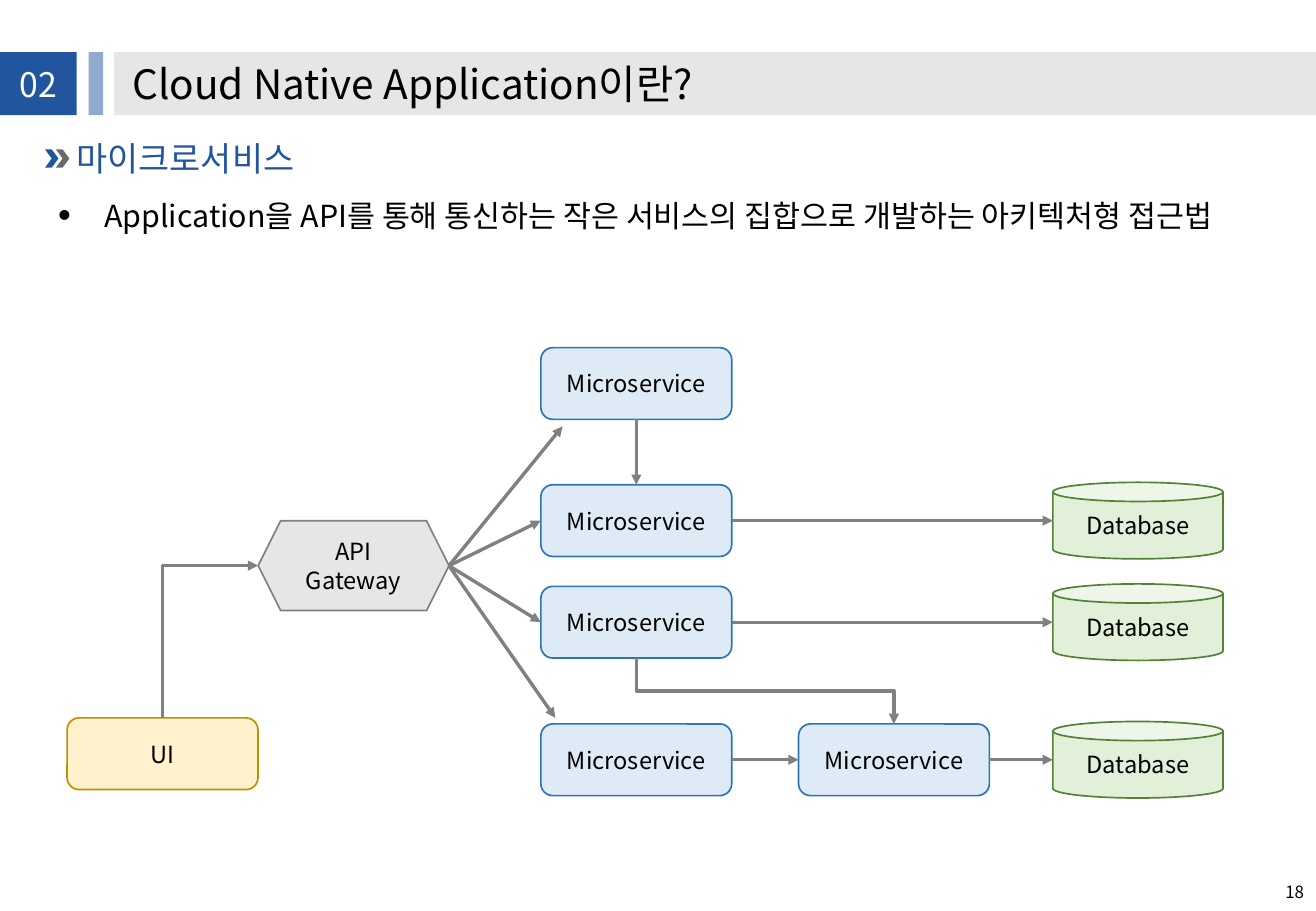
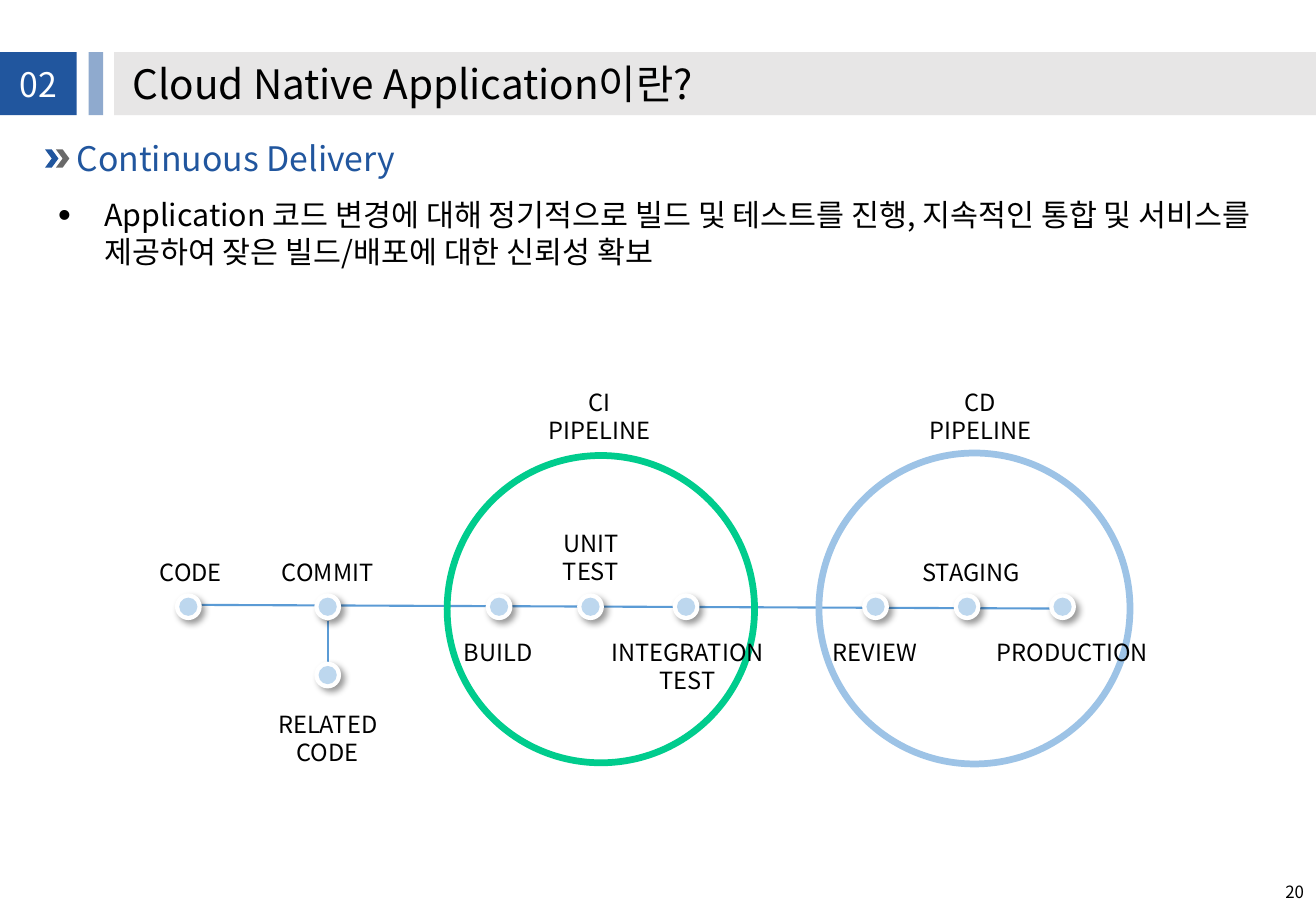
import pptx
import pptx.dml.color
import pptx.enum.shapes
import pptx.enum.text
import pptx.oxml
import pptx.oxml.ns
import pptx.util

FONT = "Noto Sans CJK KR"
NAVY, GRAY, LINE, BLACK, WHITE = "21569E", "E7E6E6", "808080", "000000", "FFFFFF"
SKY, DOT = "5B9BD5", "BDD7EE"
WIDTH, HEIGHT = 10.83, 7.5
SHAPE = pptx.enum.shapes.MSO_SHAPE
ALIGN = pptx.enum.text.PP_ALIGN
ANCHOR = pptx.enum.text.MSO_ANCHOR


def col(n):
    """Return n hundredths of the slide width."""
    return pptx.util.Inches(WIDTH * n / 100)


def row(n):
    """Return n hundredths of the slide height."""
    return pptx.util.Inches(HEIGHT * n / 100)


def rgb(value):
    """Turn a hex string into a colour."""
    return pptx.dml.color.RGBColor.from_string(value)


def add_xml(parent, markup):
    """Append a DrawingML fragment to an element and return it."""
    tag, rest = markup.split(" ", 1) if " " in markup else (markup[:-2], "/>")
    el = pptx.oxml.parse_xml(f"<{tag} {pptx.oxml.ns.nsdecls('a')} {rest}")
    parent.append(el)
    return el


def write(sp, lines, size, color=BLACK, align=ALIGN.CENTER, anchor=ANCHOR.MIDDLE,
          inset=True, spacing=None, bullet=False):
    """Write one paragraph per line into a shape."""
    tf = sp.text_frame
    tf.word_wrap = True
    tf.vertical_anchor = anchor
    if not inset:
        tf.margin_left = tf.margin_right = tf.margin_top = tf.margin_bottom = 0
    for i, line in enumerate(lines):
        p = tf.paragraphs[0] if i == 0 else tf.add_paragraph()
        p.alignment = align
        if spacing:
            p.line_spacing = spacing
        if bullet:
            p.space_after = pptx.util.Pt(12)
            indent = pptx.util.Inches(0.38)
            pPr = p._p.get_or_add_pPr()
            pPr.set("marL", str(indent))
            pPr.set("indent", str(-indent))
            add_xml(pPr, 'a:buSzPct val="120000"/>')
            add_xml(pPr, 'a:buFont typeface="Arial"/>')
            add_xml(pPr, 'a:buChar char="•"/>')
        r = p.add_run()
        r.text = line
        r.font.size = pptx.util.Pt(size)
        r.font.name = FONT
        r.font.color.rgb = rgb(color)
        add_xml(r._r.get_or_add_rPr(), f'a:ea typeface="{FONT}"/>')


def draw(s, kind, x, y, w, h, fill=None, line=None, weight=1):
    """Add a preset shape, placed by its top left corner."""
    sp = s.shapes.add_shape(kind, col(x), row(y), col(w), row(h))
    sp.shadow.inherit = False
    if fill:
        sp.fill.solid()
        sp.fill.fore_color.rgb = rgb(fill)
    else:
        sp.fill.background()
    if line:
        sp.line.color.rgb = rgb(line)
        sp.line.width = pptx.util.Pt(weight)
    else:
        sp.line.fill.background()
    return sp


def text(s, x, y, w, h, lines, size, **style):
    """Add a text box, placed by its top left corner."""
    write(s.shapes.add_textbox(col(x), row(y), col(w), row(h)), lines, size, **style)


def node(s, kind, cx, cy, w, h, fill, line, lines):
    """Add a labelled diagram node around its centre."""
    write(draw(s, kind, cx - w / 2, cy - h / 2, w, h, fill, line), lines, 14)


def circle(s, cx, cy, inches, **style):
    """Add a circle of a given diameter around its centre."""
    w, h = inches / WIDTH * 100, inches / HEIGHT * 100
    return draw(s, SHAPE.OVAL, cx - w / 2, cy - h / 2, w, h, **style)


def connect(s, start, end, color=LINE, weight=2, arrow=True, bend=None, turn=0):
    """Link two points; a bent link is turned a quarter, turn being 1 or -1."""
    x1, y1, x2, y2 = col(start[0]), row(start[1]), col(end[0]), row(end[1])
    if bend:
        mx, my, dx, dy = (x1 + x2) // 2, (y1 + y2) // 2, (x2 - x1) // 2, (y2 - y1) // 2
        x1, y1, x2, y2 = mx - turn * dy, my + turn * dx, mx + turn * dy, my - turn * dx
    cn = s.shapes.add_connector(pptx.enum.shapes.MSO_CONNECTOR.STRAIGHT, x1, y1, x2, y2)
    cn.line.color.rgb = rgb(color)
    cn.line.width = pptx.util.Pt(weight)
    spPr = cn._element.spPr
    if bend:
        spPr.find(pptx.oxml.ns.qn("a:prstGeom")).set("prst", bend)
        spPr.find(pptx.oxml.ns.qn("a:xfrm")).set("rot", str(turn % 4 * 5400000))
    if arrow:
        add_xml(cn.line._get_or_add_ln(), 'a:tailEnd type="triangle"/>')
    add_xml(spPr, "a:effectLst/>")


def stop(s, cx, cy):
    """Add a pipeline stop: a dot on a raised white disc."""
    disc = circle(s, cx, cy, 0.22, fill=WHITE)
    effects = disc._element.spPr.find(pptx.oxml.ns.qn("a:effectLst"))
    add_xml(effects, 'a:outerShdw blurRad="50800" dist="38100" dir="2700000" algn="tl" rotWithShape="0">'
                     '<a:srgbClr val="000000"><a:alpha val="40000"/></a:srgbClr></a:outerShdw>')
    circle(s, cx, cy, 0.15, fill=DOT)


def new_slide(prs, heading, bullet, bullet_height, number):
    """Add a slide with the shared header, heading, bullet and page number."""
    s = prs.slides.add_slide(prs.slide_layouts[6])
    draw(s, SHAPE.RECTANGLE, 8.68, 5.73, 91.32, 6.93, GRAY)
    draw(s, SHAPE.RECTANGLE, 0, 5.73, 5.82, 6.93, NAVY)
    accent = draw(s, SHAPE.RECTANGLE, 6.74, 5.73, 1.11, 6.93, NAVY)
    add_xml(accent.fill.fore_color._xFill[0], 'a:alpha val="50000"/>')
    for x, color in ((3.42, NAVY), (4.25, "696969")):
        draw(s, SHAPE.CHEVRON, x, 16.4, 1.02, 2, color)
    plain = dict(inset=False, spacing=0.9)
    text(s, 10.06, 7.07, 41.83, 4.8, ["Cloud Native Application이란?"], 24,
         align=ALIGN.LEFT, anchor=ANCHOR.BOTTOM, **plain)
    text(s, 5.82, 15.6, 90.67, 4, [heading], 20, color=NAVY, align=ALIGN.LEFT, **plain)
    text(s, 0.74, 7.47, 4.34, 4, ["02"], 20, color=WHITE, **plain)
    body = draw(s, SHAPE.RECTANGLE, 3.51, 20.93, 93.07, bullet_height, WHITE)
    write(body, [bullet], 18, align=ALIGN.LEFT, anchor=ANCHOR.TOP, bullet=True)
    text(s, 89.66, 95.2, 10.34, 5.33, [str(number)], 10, align=ALIGN.RIGHT)
    return s


def microservices(prs):
    """Build the microservice architecture slide."""
    s = new_slide(prs, "마이크로서비스",
                  "Application을 API를 통해 통신하는 작은 서비스의 집합으로 개발하는 아키텍처형 접근법", 5.33, 18)
    w, h, db_w, gate_h = 14.5, 7.87, 12.93, 9.87
    ui_x, gate_x, first_x, second_x, db_x = 12.35, 26.87, 48.35, 67.93, 86.47
    ui_y, gate_y = 82.74, 62.1
    rows = top, upper, lower, bottom = 42.1, 57.15, 68.3, 83.4
    node(s, SHAPE.ROUNDED_RECTANGLE, ui_x, ui_y, w, h, "FFF2CC", "BF9000", ["UI"])
    for x, y in [(first_x, y) for y in rows] + [(second_x, bottom)]:
        node(s, SHAPE.ROUNDED_RECTANGLE, x, y, w, h, "DEEBF7", "2E75B6", ["Microservice"])
    for y in rows[1:]:
        node(s, SHAPE.CAN, db_x, y, db_w, 8.4, "E2F0D9", "548235", ["Database"])
    node(s, SHAPE.HEXAGON, gate_x, gate_y, w, gate_h, GRAY, LINE, ["API", "Gateway"])
    connect(s, (ui_x, ui_y - h / 2), (gate_x - w / 2, gate_y), bend="bentConnector2", turn=1)
    for x, y, end_x in ((second_x, bottom, db_x - db_w / 2), (first_x, bottom, second_x - w / 2),
                        (first_x, lower, db_x - db_w / 2), (first_x, upper, db_x - db_w / 2)):
        connect(s, (x + w / 2, y), (end_x, y))
    left = first_x - w / 2
    for end in ((42.75, 46.8), (left, upper), (left, lower), (42.2, 78.8)):
        connect(s, (gate_x + w / 2, gate_y), end)
    connect(s, (first_x, lower + h / 2), (second_x, bottom - h / 2), bend="bentConnector3", turn=-1)
    connect(s, (first_x, top + h / 2), (first_x, upper - h / 2))


def continuous_delivery(prs):
    """Build the continuous delivery pipeline slide."""
    s = new_slide(prs, "Continuous Delivery",
                  "Application 코드 변경에 대해 정기적으로 빌드 및 테스트를 진행, 지속적인 통합 및 "
                  "서비스를 제공하여 잦은 빌드/배포에 대한 신뢰성 확보", 9.47, 20)
    axis, related, above, below = 66.6, 74.1, 62.8, 71.6
    commit = 24.9
    connect(s, (commit, 73.2), (commit, 68.13), SKY, 1.25, arrow=False)
    connect(s, (15.33, 66.4), (79.78, 66.8), SKY, 1.25, arrow=False)
    for x in (14.31, commit, 37.92, 44.87, 52.13, 66.53, 73.48, 80.74):
        stop(s, x, axis)
    stop(s, commit, related)
    circle(s, 45.66, 66.87, 2.53, line="00CC8D", weight=4)
    circle(s, 74.05, 66.8, 2.56, line="9DC3E6", weight=4)
    one, two = 4.53, 7.6
    labels = (
        (14.5, above, 8.68, one, ["CODE"]),
        (commit, above, 10.43, one, ["COMMIT"]),
        (commit, 81, 10.16, two, ["RELATED CODE"]),
        (45.55, 45.67, 10.25, two, ["CI PIPELINE"]),
        (74.5, 45.67, 10.9, two, ["CD PIPELINE"]),
        (66.5, below, 8.68, one, ["REVIEW"]),
        (73.8, above, 10.25, one, ["STAGING"]),
        (81.5, below, 14.5, one, ["PRODUCTION"]),
        (37.85, below, 8.68, one, ["BUILD"]),
        (44.9, 61.13, 11.91, two, ["UNIT", "TEST"]),
        (52.26, 73.13, 14.04, two, ["INTEGRATION", "TEST"]),
    )
    for cx, cy, w, h, lines in labels:
        text(s, cx - w / 2, cy - h / 2, w, h, lines, 14)


def main():
    """Build and save the presentation."""
    prs = pptx.Presentation()
    prs.slide_width, prs.slide_height = col(100), row(100)
    microservices(prs)
    continuous_delivery(prs)
    prs.save("out.pptx")


if __name__ == "__main__":
    main()
